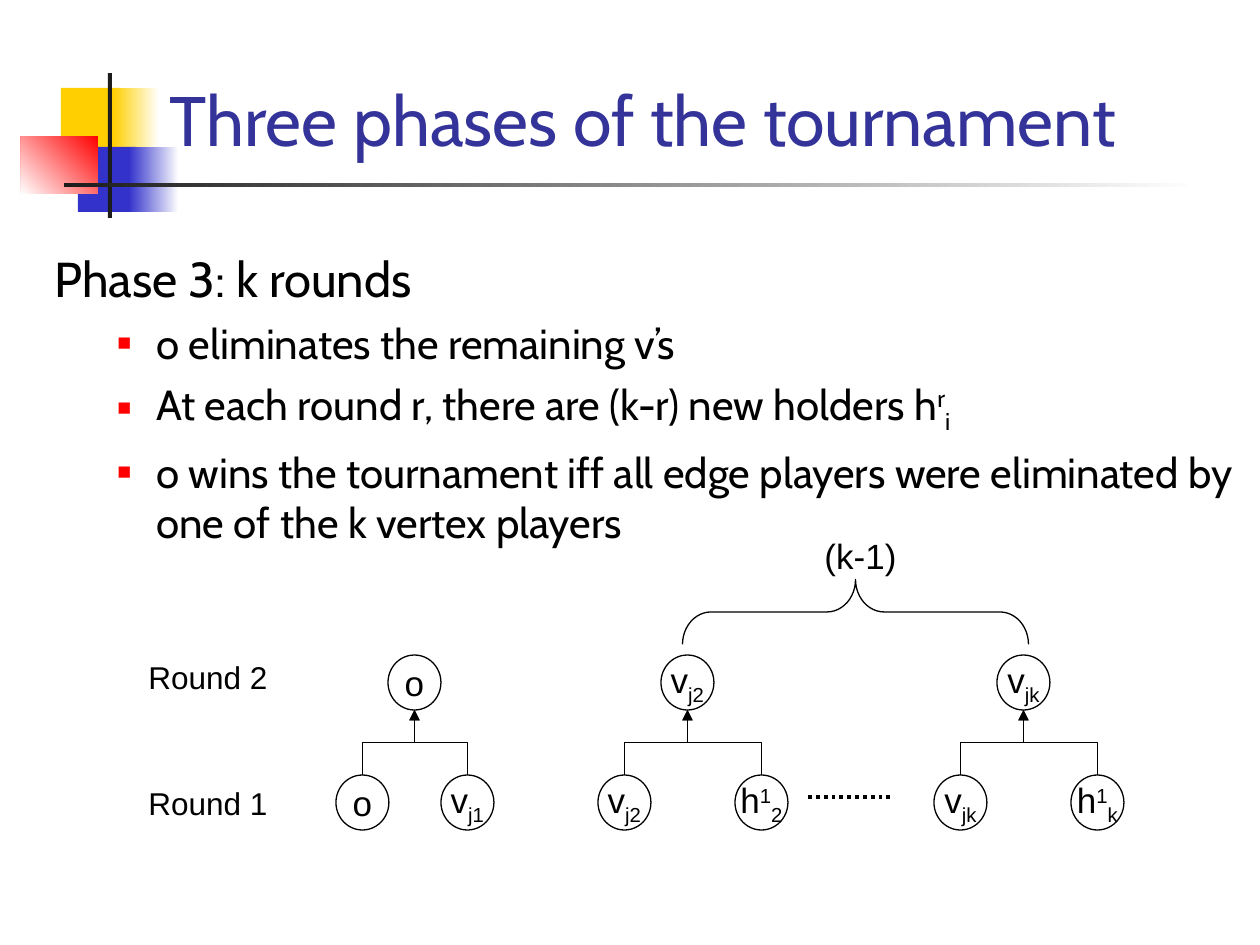
"""Build the slide on phase 3 of the tournament, with its bracket diagram."""
import pptx
import pptx.dml.color
import pptx.enum.dml
import pptx.enum.shapes
import pptx.enum.text
import pptx.oxml.ns
import pptx.oxml.xmlchemy
import pptx.util
from lxml import etree

RGBColor = pptx.dml.color.RGBColor
BLACK = RGBColor(0x00, 0x00, 0x00)
WHITE = RGBColor(0xFF, 0xFF, 0xFF)
CHARCOAL = RGBColor(0x1C, 0x1C, 0x1C)
YELLOW = RGBColor(0xFF, 0xCF, 0x01)
BLUE = RGBColor(0x33, 0x33, 0xCC)
RED = RGBColor(0xFF, 0x00, 0x00)
INDIGO = RGBColor(0x33, 0x33, 0x99)

Pt = pptx.util.Pt
qn = pptx.oxml.ns.qn
PRESET = pptx.enum.shapes.MSO_SHAPE
CONNECTOR = pptx.enum.shapes.MSO_CONNECTOR
ANCHOR = pptx.enum.text.MSO_ANCHOR
ALIGN = pptx.enum.text.PP_ALIGN
PX = 914400 / 126
SUPERSCRIPT, SUBSCRIPT = 30000, -25000


def emu(*lengths):
    return [round(length * PX) for length in lengths]


def add_runs(paragraph, runs, size, font="Arial", color=BLACK):
    for text, baseline in runs:
        run = paragraph.add_run()
        run.text = text
        run.font.size = Pt(size)
        run.font.name = font
        run.font.color.rgb = color
        if baseline:
            run.font._element.set("baseline", str(baseline))


prs = pptx.Presentation()
prs.slide_width, prs.slide_height = emu(1260, 945)
slide = prs.slides.add_slide(prs.slide_layouts[5])
shapes = slide.shapes

ornaments = [
    ((61, 88, 60, 66), YELLOW, None, 0),
    ((113, 88, 46, 66), WHITE, YELLOW, 180),
    ((78, 147, 58, 65), BLUE, None, 0),
    ((129, 147, 50, 65), WHITE, BLUE, 180),
    ((21, 136, 77, 58), RED, WHITE, 225),
    ((108, 73, 4, 145), CHARCOAL, None, 0),
    ((64, 183, 1134, 4), WHITE, CHARCOAL, 180),
]
for bounds, start_color, end_color, angle in ornaments:
    ornament = shapes.add_shape(PRESET.RECTANGLE, *emu(*bounds))
    ornament.shadow.inherit = False
    ornament.line.fill.background()
    if end_color is None:
        ornament.fill.solid()
        ornament.fill.fore_color.rgb = start_color
    else:
        ornament.fill.gradient()
        ornament.fill.gradient_angle = angle
        stops = ornament.fill.gradient_stops
        for stop, color, position in zip(stops, (start_color, end_color), (0, 1)):
            stop.color.rgb = color
            stop.position = position

title = shapes.title
title.left, title.top, title.width, title.height = emu(157, 42, 1074, 125)
title.element.getparent().append(title.element)
title.text_frame.auto_size = pptx.enum.text.MSO_AUTO_SIZE.NONE
title.text_frame.word_wrap = True
title.text_frame.vertical_anchor = ANCHOR.BOTTOM
heading = title.text_frame.paragraphs[0]
heading.alignment = ALIGN.LEFT
add_runs(heading, [("Three phases of the tournament", 0)], 40, "Cabin", INDIGO)

body = shapes.add_textbox(*emu(42, 242, 1218, 661)).text_frame
body.word_wrap = True
add_runs(body.paragraphs[0], [("Phase 3: k rounds", 0)], 28, "Cabin")
points = [
    [("o eliminates the remaining v’s", 0)],
    [("At each round r, there are (k-r) new holders h", 0),
     ("r", SUPERSCRIPT), ("i", SUBSCRIPT)],
    [("o wins the tournament iff all edge players were eliminated by "
      "one of the k vertex players", 0)],
]
for point in points:
    paragraph = body.add_paragraph()
    paragraph.space_before = Pt(6)
    properties = paragraph._p.get_or_add_pPr()
    margin, indent = emu(102, -39)
    properties.set("marL", str(margin))
    properties.set("indent", str(indent))
    bullet_color = etree.SubElement(properties, qn("a:buClr"))
    etree.SubElement(bullet_color, qn("a:srgbClr"), val=str(RED))
    etree.SubElement(properties, qn("a:buSzPct"), val="55000")
    etree.SubElement(properties, qn("a:buFont"), typeface="Arial")
    etree.SubElement(properties, qn("a:buChar"), char="■")
    add_runs(paragraph, point, 24, "Cabin")

PLAYER_WIDTH, PLAYER_HEIGHT = 53, 55
ROUND_1_TOP, ROUND_2_TOP = 775, 655
origin = [("o", 0)]
v_j1 = [("v", 0), ("j1", SUBSCRIPT)]
v_j2 = [("v", 0), ("j2", SUBSCRIPT)]
v_jk = [("v", 0), ("jk", SUBSCRIPT)]
h_2 = [("h", 0), ("1", SUPERSCRIPT), ("2", SUBSCRIPT)]
h_k = [("h", 0), ("1", SUPERSCRIPT), ("k", SUBSCRIPT)]
matches = [
    ((336, origin), (441, v_j1), (388, origin)),
    ((598, v_j2), (735, h_2), (661, v_j2)),
    ((934, v_jk), (1071, h_k), (997, v_jk)),
]
links = []
for first, second, winner in matches:
    for (left, label), top in zip((first, second, winner),
                                  (ROUND_1_TOP, ROUND_1_TOP, ROUND_2_TOP)):
        player = shapes.add_shape(
            PRESET.OVAL, *emu(left, top, PLAYER_WIDTH, PLAYER_HEIGHT))
        player.shadow.inherit = False
        player.fill.background()
        player.line.color.rgb = BLACK
        player.line.width = Pt(0.75)
        player.text_frame.word_wrap = False
        player.text_frame.vertical_anchor = ANCHOR.MIDDLE
        player.text_frame.paragraphs[0].alignment = ALIGN.CENTER
        add_runs(player.text_frame.paragraphs[0], label, 20)

    rise = ROUND_1_TOP - ROUND_2_TOP - PLAYER_HEIGHT
    middle_y = ROUND_1_TOP - rise / 2
    for (left, label), side, turn in ((first, -1, 90), (second, 1, 270)):
        middle_x = (left + winner[0] + PLAYER_WIDTH) / 2
        half_run = abs(left - winner[0]) / 2
        advance = shapes.add_connector(CONNECTOR.ELBOW, *emu(
            middle_x - side * rise / 2, middle_y + half_run,
            middle_x + side * rise / 2, middle_y - half_run))
        advance.element.spPr.find(qn("a:xfrm")).set("rot", str(turn * 60000))
        advance.line.color.rgb = BLACK
        advance.line.width = Pt(0.75)
        etree.SubElement(advance.element.spPr.find(qn("a:ln")),
                         qn("a:tailEnd"), type="triangle")
        links.append(advance)

ellipsis = shapes.add_connector(CONNECTOR.STRAIGHT, *emu(808, 797, 892, 797))
ellipsis.line.color.rgb = BLACK
ellipsis.line.width = Pt(2.25)
ellipsis.line.dash_style = pptx.enum.dml.MSO_LINE.ROUND_DOT
for link in links + [ellipsis]:
    etree.SubElement(link.element.spPr, qn("a:effectLst"))

brace = shapes.add_shape(PRESET.LEFT_BRACE, *emu(823, 439, 65, 346))
brace.rotation = 90
brace.adjustments[0] = 0.44
brace.shadow.inherit = False
brace.fill.background()
brace.line.color.rgb = BLACK
brace.line.width = Pt(0.75)

captions = [
    ("(k-1)", (787, 528, 147, 55), 20, ALIGN.CENTER),
    ("Round 1", (136, 778, 189, 50), 18, ALIGN.LEFT),
    ("Round 2", (136, 652, 189, 50), 18, ALIGN.LEFT),
]
for text, bounds, size, alignment in captions:
    caption = shapes.add_textbox(*emu(*bounds)).text_frame
    caption.word_wrap = True
    caption.paragraphs[0].alignment = alignment
    add_runs(caption.paragraphs[0], [(text, 0)], size)

prs.save("out.pptx")
